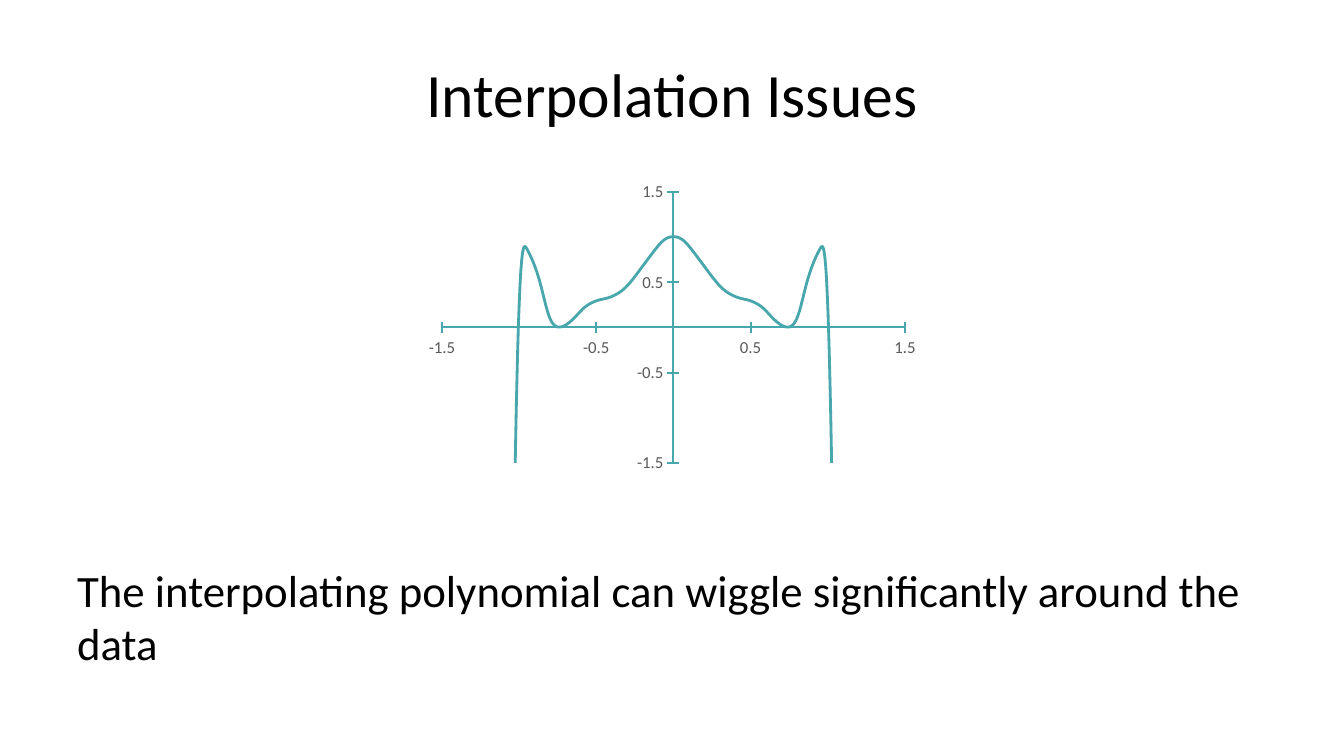
from lxml.etree import SubElement
from pptx import Presentation
from pptx.chart.data import XyChartData
from pptx.dml.color import RGBColor
from pptx.enum.chart import XL_CHART_TYPE as ChartType, XL_MARKER_STYLE as Marker, XL_TICK_MARK as Tick
from pptx.enum.text import MSO_ANCHOR as Anchor, PP_ALIGN as Align
from pptx.oxml import parse_xml
from pptx.oxml.ns import nsdecls, qn
from pptx.util import Pt

TITLE = "Interpolation Issues"
STATEMENT = "The interpolating polynomial can wiggle significantly around the data"
SAMPLES_HALF = [0.08, 0.12, 0.19, 0.34, 0.68]
POLYNOMIAL_HALF = [-11.15, -1.02, 0.87, 0.53, 0.1, 0.01, 0.11, 0.23,
                   0.3, 0.33, 0.4, 0.52, 0.7, 0.88, 0.99]
CURVES = [
    ("Series 1", 1, SAMPLES_HALF + [1] + SAMPLES_HALF[::-1]),
    ("Series 2", 1.1, POLYNOMIAL_HALF + POLYNOMIAL_HALF[::-1]),
]
FONT, BLACK, WHITE, GREY, TEAL = "Calibri", "000000", "FFFFFF", "595959", "48A6AD"
AXIS_LIMIT = 1.5

SLIDE_BOX = (0, 0, 1344, 756)
TITLE_BOX = (67, 30, 1210, 126)
BODY_BOX = (67, 176, 1210, 499)
CHART_BOX = (418, 176, 507, 302)
PLOT_BOX = (442, 192, 463, 271)
EMU_PER_PX = 914400 * 40 // 3 // 1344


def emu(box):
    return [length * EMU_PER_PX for length in box]


def rgb(color):
    return RGBColor.from_string(color)


def style_font(font, size, color):
    font.name, font.size = FONT, Pt(size)
    font.color.rgb = rgb(color)


def fill_placeholder(holder, box, text, size, anchor, align):
    holder.left, holder.top, holder.width, holder.height = emu(box)
    frame = holder.text_frame
    frame.text = text
    frame.word_wrap = True
    frame.vertical_anchor = anchor
    paragraph = frame.paragraphs[0]
    paragraph.alignment = align
    paragraph.space_before = Pt(0)
    style_font(paragraph.runs[0].font, size, BLACK)
    return paragraph


def style_axis(axis):
    axis.minimum_scale, axis.maximum_scale, axis.major_unit = -AXIS_LIMIT, AXIS_LIMIT, 1
    axis.has_major_gridlines = False
    axis.major_tick_mark, axis.minor_tick_mark = Tick.CROSS, Tick.NONE
    axis.tick_labels.number_format = "General"
    axis.tick_labels.number_format_is_linked = False
    style_font(axis.tick_labels.font, 12, GREY)
    axis.format.line.color.rgb = rgb(TEAL)
    axis.format.line.width = Pt(1.5)


def place_plot(chart):
    plot_area = chart.element.find(".//" + qn("c:plotArea"))
    for automatic in plot_area.findall(qn("c:layout")):
        plot_area.remove(automatic)
    layout = parse_xml(f"<c:layout {nsdecls('c')}/>")
    manual = SubElement(layout, qn("c:manualLayout"))
    left, top, width, height = CHART_BOX
    plot_left, plot_top, plot_width, plot_height = PLOT_BOX
    settings = [
        ("layoutTarget", "inner"), ("xMode", "edge"), ("yMode", "edge"),
        ("x", (plot_left - left) / width), ("y", (plot_top - top) / height),
        ("w", plot_width / width), ("h", plot_height / height),
    ]
    for tag, value in settings:
        SubElement(manual, qn("c:" + tag)).set("val", str(value))
    plot_area.insert(0, layout)


def add_curves(slide):
    data = XyChartData()
    for name, reach, values in CURVES:
        curve = data.add_series(name)
        step = 2 * reach / (len(values) - 1)
        for index, value in enumerate(values):
            curve.add_data_point(round(index * step - reach, 2), value)
    chart = slide.shapes.add_chart(ChartType.XY_SCATTER, *emu(CHART_BOX), data).chart
    chart.has_legend = chart.has_title = False
    style_font(chart.font, 10, BLACK)
    chart.plots[0].vary_by_categories = False
    for axis in (chart.category_axis, chart.value_axis):
        style_axis(axis)
    place_plot(chart)

    samples, polynomial = chart.plots[0].series
    samples.format.line.fill.background()
    samples.marker.style, samples.marker.size = Marker.CIRCLE, 8
    samples.marker.format.fill.solid()
    samples.marker.format.fill.fore_color.rgb = rgb(WHITE)
    samples.marker.format.line.color.rgb = rgb(WHITE)
    polynomial.marker.style = Marker.NONE
    polynomial.format.line.color.rgb = rgb(TEAL)
    polynomial.format.line.width = Pt(2)
    polynomial._element.find(qn("c:smooth")).set("val", "1")


def main():
    deck = Presentation()
    deck.slide_width, deck.slide_height = emu(SLIDE_BOX)[2:]
    slide = deck.slides.add_slide(deck.slide_layouts[1])
    title, body = slide.placeholders
    fill_placeholder(title, TITLE_BOX, TITLE, 44, Anchor.MIDDLE, Align.CENTER)
    statement = fill_placeholder(body, BODY_BOX, STATEMENT, 32, Anchor.BOTTOM, Align.LEFT)
    properties = statement._p.get_or_add_pPr()
    properties.set("marL", "0")
    properties.set("indent", "0")
    SubElement(properties, qn("a:buNone"))
    add_curves(slide)
    deck.save("out.pptx")


if __name__ == "__main__":
    main()
